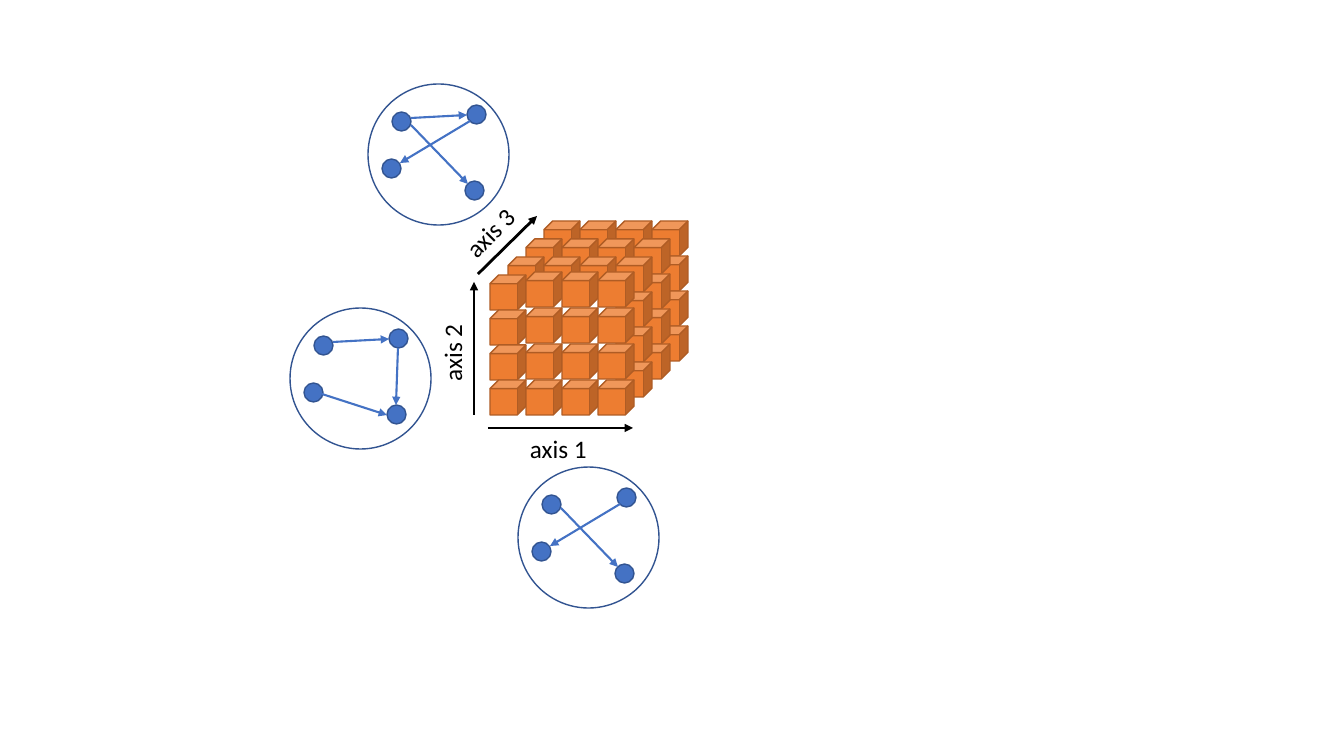
from dataclasses import dataclass
from itertools import product

from lxml import etree
from pptx import Presentation
from pptx.dml.color import RGBColor
from pptx.enum.shapes import MSO_CONNECTOR, MSO_SHAPE
from pptx.enum.text import MSO_AUTO_SIZE
from pptx.oxml.ns import qn
from pptx.util import Emu, Pt

STRAIGHT = MSO_CONNECTOR.STRAIGHT
CUBE = MSO_SHAPE.CUBE
OVAL = MSO_SHAPE.OVAL
FIT_SHAPE = MSO_AUTO_SIZE.SHAPE_TO_FIT_TEXT
SLIDE_WIDTH, SLIDE_HEIGHT = 1344, 756
EMU_PER_PX = 12192000 / SLIDE_WIDTH


@dataclass(frozen=True)
class Theme:
    ink: str = "000000"
    cube: str = "ED7D31"
    cube_edge: str = "AF5C24"
    node: str = "4472C4"
    node_edge: str = "325491"
    font: str = "Calibri"
    label_size: float = 18
    outline: float = 1
    link: float = 1.5
    axis: float = 2


def px(length):
    return Emu(round(length * EMU_PER_PX))


class Diagram:
    def __init__(self, slide, theme):
        self.shapes = slide.shapes
        self.theme = theme

    def group(self):
        return self.shapes.add_group_shape().shapes

    def solid(self, parent, kind, left, top, width, height, edge, fill=None):
        shape = parent.add_shape(kind, px(left), px(top), px(width), px(height))
        shape.shadow.inherit = False
        if fill:
            shape.fill.solid()
            shape.fill.fore_color.rgb = RGBColor.from_string(fill)
        else:
            shape.fill.background()
        shape.line.color.rgb = RGBColor.from_string(edge)
        shape.line.width = Pt(self.theme.outline)

    def arrow(self, parent, start, end, color, weight):
        arrow = parent.add_connector(STRAIGHT, *map(px, start + end))
        arrow.line.color.rgb = RGBColor.from_string(color)
        arrow.line.width = Pt(weight)
        etree.SubElement(arrow.line._get_or_add_ln(), qn("a:tailEnd"), type="triangle")
        etree.SubElement(arrow._element.spPr, qn("a:effectLst"))

    def label(self, text, left, top, rotation):
        label = self.shapes.add_textbox(px(left), px(top), px(78), px(40))
        label.rotation = rotation
        frame = label.text_frame
        frame.text = text
        frame.word_wrap = False
        frame.auto_size = FIT_SHAPE
        font = frame.paragraphs[0].runs[0].font
        font.name = self.theme.font
        font.size = Pt(self.theme.label_size)
        font.color.rgb = RGBColor.from_string(self.theme.ink)

    def axis(self, text, start, end, label_at, rotation):
        self.arrow(self.shapes, start, end, self.theme.ink, self.theme.axis)
        self.label(text, *label_at, rotation)

    def tensor(self, left, bottom_row, count):
        cubes = self.group()
        last = count - 1
        for depth, row, col in product(range(last, -1, -1), range(count), range(count)):
            if depth == 0 or row == 0 or col == last:
                row_step = 36 if depth == 0 and col > 0 else 35
                self.solid(cubes, CUBE, left + 36 * col + 18 * depth,
                           bottom_row - 18 * depth - row_step * (last - row),
                           36, 35, self.theme.cube_edge, self.theme.cube)

    def network(self, left, top, links):
        network = self.group()
        for x, y in NODES:
            self.solid(network, OVAL, left + x, top + y, 19, 19,
                       self.theme.node_edge, self.theme.node)
        for link in links:
            x1, y1, x2, y2 = LINKS[link]
            self.arrow(network, (left + x1, top + y1), (left + x2, top + y2),
                       self.theme.node, self.theme.link)
        self.solid(network, OVAL, left, top, 141, 141, self.theme.node_edge)


NODES = [(99, 21), (14, 75), (24, 28), (97, 97)]
LINKS = {
    "across top": (43, 34, 99, 31),
    "down right": (108, 40, 106, 97),
    "across bottom": (32, 86, 97, 107),
    "falling left": (102, 37, 32, 79),
    "falling right": (43, 41, 100, 100),
}
AXES = [
    ("axis 1", (488, 428), (633, 428), (520, 428), 0),
    ("axis 2", (474, 415), (474, 282), (413, 332), 270),
    ("axis 3", (478, 274), (537, 216), (451, 212), 314.6),
]
NETWORKS = [
    (290, 308, ["across top", "down right", "across bottom"]),
    (368, 84, ["across top", "falling left", "falling right"]),
    (518, 467, ["falling left", "falling right"]),
]


def main():
    deck = Presentation()
    deck.slide_width, deck.slide_height = px(SLIDE_WIDTH), px(SLIDE_HEIGHT)
    diagram = Diagram(deck.slides.add_slide(deck.slide_layouts[6]), Theme())
    diagram.tensor(490, 380, 4)
    for axis in AXES:
        diagram.axis(*axis)
    for network in NETWORKS:
        diagram.network(*network)
    deck.save("out.pptx")


if __name__ == "__main__":
    main()
